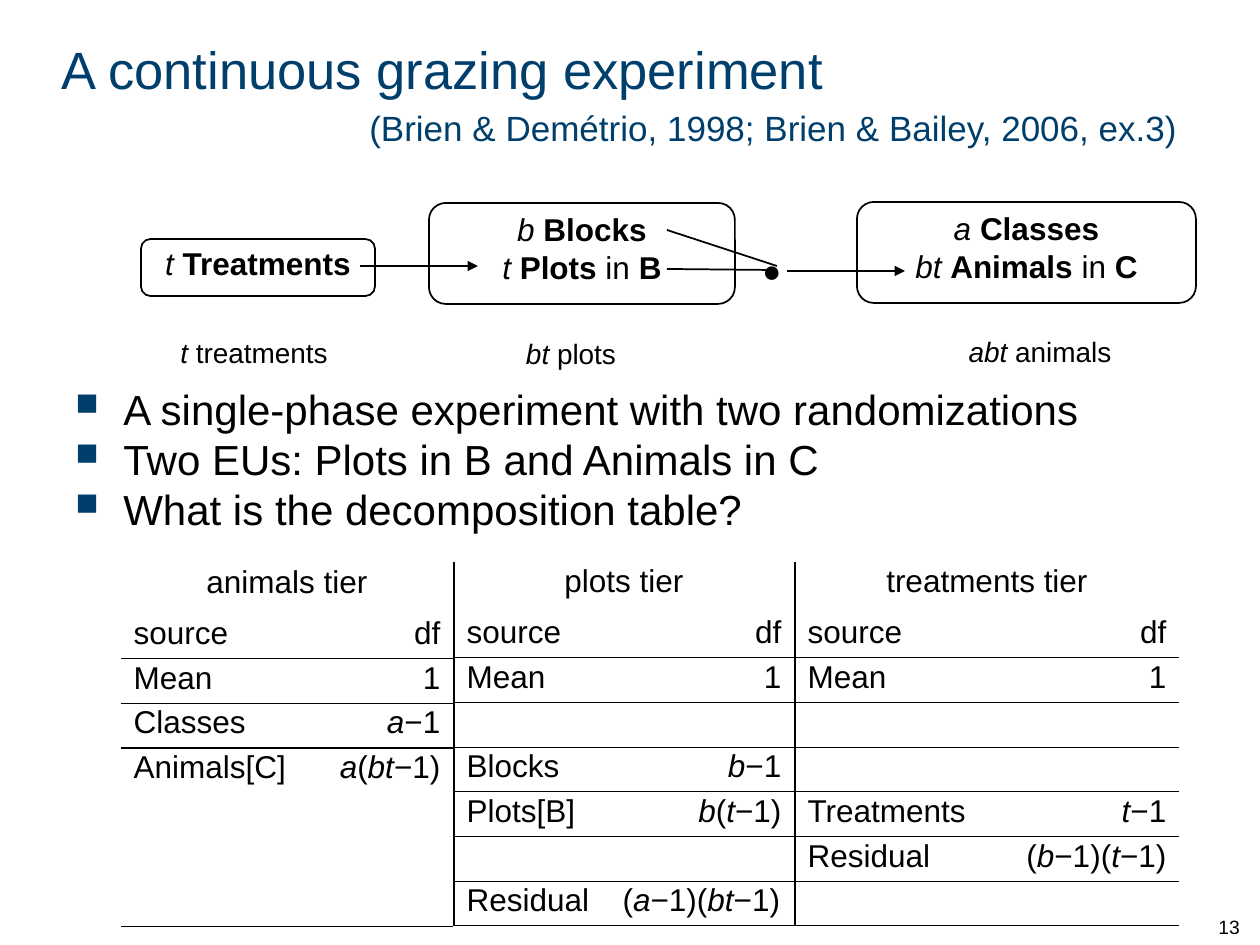
import pptx
import pptx.dml.color
import pptx.enum.shapes
import pptx.enum.text
import pptx.oxml
import pptx.oxml.ns
import pptx.util

EMU_PER_PX = 914400 // 126
FONT, BLACK, NAVY = "Arial", "000000", "003E6C"
LEFT, CENTER, RIGHT = (pptx.enum.text.PP_ALIGN.LEFT, pptx.enum.text.PP_ALIGN.CENTER,
                       pptx.enum.text.PP_ALIGN.RIGHT)
TOP, MIDDLE, BOTTOM = (pptx.enum.text.MSO_ANCHOR.TOP, pptx.enum.text.MSO_ANCHOR.MIDDLE,
                       pptx.enum.text.MSO_ANCHOR.BOTTOM)

# In rich text, "|" parts the runs; "~" opens an italic run and "!" a bold one.
TITLE = "A continuous grazing experiment"
CITATION = "(Brien & Demétrio, 1998; Brien & Bailey, 2006, ex.3)"
FACTOR_BOXES = [
    ((857, 202, 339, 101), ["~a |!Classes", "~bt |!Animals| in |!C"]),
    ((429, 203, 306, 101), ["~b |!Blocks", "~t |!Plots| in |!B"]),
    ((141, 239, 234, 57), ["~t |!Treatments"]),
]
CAPTIONS = [
    ((936, 328, 208, 47), "~abt| animals"),
    ((467, 330, 208, 47), "~bt| plots"),
    ((150, 329, 208, 47), "~t| treatments"),
]
# start, end, has an arrowhead
LINES = [
    ((360, 266), (478, 266), True),
    ((787, 271), (905, 271), True),
    ((667, 230), (777, 266), False),
    ((667, 269), (770, 270), False),
]
POINTS = [
    "A single-phase experiment with two randomizations",
    "Two EUs: Plots in B and Animals in C",
    "What is the decomposition table?",
]
HEADINGS = ("source", "df")
MEAN = ("Mean", "1")
BLANK = ("", "")
ALL_RULES = range(1, 8)
TIERS = [
    {"name": "animals tier", "at": (121, 563), "columns": (192, 140),
     "rules": (1, 2, 3, 7), "left_rule": False,
     "sources": [MEAN, ("Classes", "~a|−1"), ("Animals[C]", "~a|(|~bt|−1)"),
                 BLANK, BLANK, BLANK]},
    {"name": "plots tier", "at": (454, 562), "columns": (156, 184),
     "rules": ALL_RULES, "left_rule": True, "last_df_align": LEFT,
     "sources": [MEAN, BLANK, ("Blocks", "~b|−1"), ("Plots[B]", "~b|(|~t|−1)"),
                 BLANK, ("Residual", "(|~a|−1)(|~bt|−1)")]},
    {"name": "treatments tier", "at": (795, 562), "columns": (215, 169),
     "rules": ALL_RULES, "left_rule": True,
     "sources": [MEAN, BLANK, BLANK, ("Treatments", "~t|−1"),
                 ("Residual", "(|~b|−1)(|~t|−1)"), BLANK]},
]
TABLE_HEIGHT, TIER_ROW_HEIGHT = 364, 51


def px(*lengths):
    """Turn pixel lengths into a list of EMU lengths."""
    return [pptx.util.Emu(round(length * EMU_PER_PX)) for length in lengths]


def color(hex_code):
    """Turn a hex string into a colour."""
    return pptx.dml.color.RGBColor.from_string(hex_code)


def apply(target, values):
    """Set each named attribute of the target."""
    for name, value in values.items():
        setattr(target, name, value)


def write(paragraph, rich, size, hex_code=BLACK, **layout):
    """Add rich text to a paragraph and lay the paragraph out."""
    apply(paragraph, layout)
    for part in filter(None, rich.split("|")):
        run = paragraph.add_run()
        run.text = part.lstrip("~!")
        apply(run.font, {"name": FONT, "size": pptx.util.Pt(size),
                         "italic": part[0] == "~", "bold": part[0] == "!"})
        run.font.color.rgb = color(hex_code)


def write_all(frame, texts, size, **layout):
    """Write one paragraph for each text and return the paragraphs."""
    for index, rich in enumerate(texts):
        paragraph = frame.add_paragraph() if index else frame.paragraphs[0]
        write(paragraph, rich, size, **layout)
    return frame.paragraphs


def indent(paragraph, distance):
    """Give the paragraph a hanging indent and return its properties."""
    properties = paragraph._p.get_or_add_pPr()
    offset = px(distance)[0]
    properties.set("marL", str(offset))
    properties.set("indent", str(-offset))
    return properties


def xml(tag, inner="", attributes=""):
    """Build a drawing element."""
    return pptx.oxml.parse_xml(
        f'<a:{tag} {pptx.oxml.ns.nsdecls("a")} {attributes}>{inner}</a:{tag}>')


def add_text(slide, box, texts, size, anchor=TOP, wrap=True, **layout):
    """Add a text box and return its paragraphs."""
    frame = slide.shapes.add_textbox(*px(*box)).text_frame
    apply(frame, {"word_wrap": wrap, "vertical_anchor": anchor})
    return write_all(frame, texts, size, **layout)


def add_title(slide):
    """Fill the title placeholder with the title and its citation."""
    title = slide.shapes.title
    apply(title, dict(zip(("left", "top", "width", "height"), px(49, 24, 1220, 139))))
    apply(title.text_frame, {"vertical_anchor": MIDDLE, "word_wrap": True})
    paragraph = title.text_frame.paragraphs[0]
    write(paragraph, TITLE, 30, NAVY, alignment=LEFT)
    paragraph.add_line_break()
    write(paragraph, " ", 24, NAVY)
    write(paragraph, CITATION, 20, NAVY)
    indent(paragraph, 296)


def add_factor_box(slide, box, factors):
    """Add a rounded outline listing the factors of a tier."""
    shape = slide.shapes.add_shape(
        pptx.enum.shapes.MSO_SHAPE.ROUNDED_RECTANGLE, *px(*box))
    shape.shadow.inherit = False
    shape.fill.background()
    shape.line.color.rgb = color(BLACK)
    shape.line.width = pptx.util.Pt(1)
    side, end = px(1, 2)
    apply(shape.text_frame, {"margin_left": side, "margin_right": side, "margin_top": end,
                             "margin_bottom": end, "vertical_anchor": TOP, "word_wrap": True})
    write_all(shape.text_frame, factors, 18, alignment=CENTER)


def add_line(slide, start, end, arrow):
    """Add a straight line, with an arrowhead if asked."""
    line = slide.shapes.add_connector(
        pptx.enum.shapes.MSO_CONNECTOR.STRAIGHT, *px(*start, *end))
    line.line.color.rgb = color(BLACK)
    line.line.width = pptx.util.Pt(1)
    if arrow:
        line.line._get_or_add_ln().append(xml("tailEnd", attributes='type="triangle"'))
    line._element.spPr.append(xml("effectLst"))


def rule_cell(cell, ruled_edges):
    """Draw the ruled edges of a cell and clear its other edges and fill."""
    properties = cell._tc.get_or_add_tcPr()
    ink = f'<a:solidFill><a:srgbClr val="{BLACK}"/></a:solidFill>'
    for edge in "LRTB":
        inner = ink if edge in ruled_edges else "<a:noFill/>"
        properties.append(xml("ln" + edge, inner, 'w="9525"'))
    cell.fill.background()


def add_tier(slide, tier):
    """Add the decomposition table of one tier."""
    rows = [(tier["name"], ""), HEADINGS, *tier["sources"]]
    box = (*tier["at"], sum(tier["columns"]), TABLE_HEIGHT)
    table = slide.shapes.add_table(len(rows), 2, *px(*box)).table
    apply(table, {"first_row": False, "horz_banding": False})
    for column, width in zip(table.columns, px(*tier["columns"])):
        column.width = width
    source_height = (TABLE_HEIGHT - TIER_ROW_HEIGHT) / (len(rows) - 1)
    margin = px(2)[0]
    for r, texts in enumerate(rows):
        table.rows[r].height = px(source_height if r else TIER_ROW_HEIGHT)[0]
        for c, rich in enumerate(texts):
            cell = table.cell(r, c)
            apply(cell, {"margin_top": margin, "margin_bottom": margin})
            align = (LEFT, RIGHT)[c] if r else CENTER
            if c and r == len(rows) - 1:
                align = tier.get("last_df_align", RIGHT)
            write(cell.text_frame.paragraphs[0], rich, 18, alignment=align)
            edges = {"L": tier["left_rule"] and c == 0,
                     "T": r - 1 in tier["rules"], "B": r in tier["rules"]}
            rule_cell(cell, [edge for edge, ruled in edges.items() if ruled])
    table.cell(0, 0).merge(table.cell(0, 1))


deck = pptx.Presentation()
deck.slide_width, deck.slide_height = px(1260, 945)
slide = deck.slides.add_slide(deck.slide_layouts[5])
add_title(slide)
points = add_text(slide, (63, 387, 1134, 151), POINTS, 24,
                  line_spacing=0.8, space_before=pptx.util.Pt(5.5))
for point in points:
    properties = indent(point, 48)
    properties.append(xml("buClr", f'<a:srgbClr val="{NAVY}"/>'))
    properties.append(xml("buSzPct", attributes='val="75000"'))
    properties.append(xml("buChar", attributes='char="■"'))
add_text(slide, (1206, 882, 53, 63), ["13"], 11, anchor=BOTTOM)
for box, factors in FACTOR_BOXES:
    add_factor_box(slide, box, factors)
for box, caption in CAPTIONS:
    add_text(slide, box, [caption], 16, alignment=CENTER)
for start, end, arrow in LINES:
    add_line(slide, start, end, arrow)
add_text(slide, (750, 245, 53, 50), ["●"], 18, wrap=False)
for tier in TIERS:
    add_tier(slide, tier)
deck.save("out.pptx")
